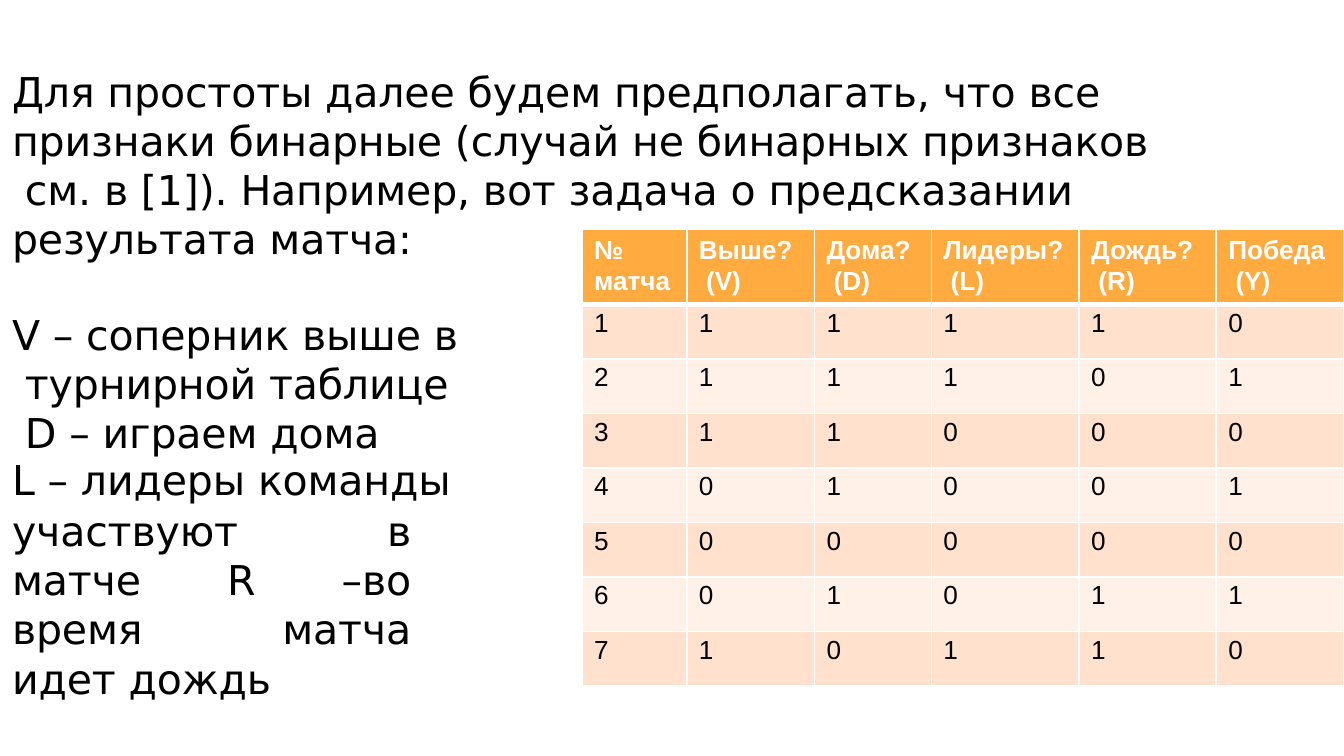
from dataclasses import dataclass

from lxml import etree
from pptx import Presentation
from pptx import util as u
from pptx.dml.color import RGBColor
from pptx.enum import text
from pptx.oxml.ns import qn


@dataclass(frozen=True)
class Theme:
    prose_font: str = "DejaVu Sans"
    table_font: str = "Arial"
    prose_size: float = 22
    table_size: float = 14
    tracking: int = -5  # hundredths of a point
    ink: str = "000000"
    white: str = "FFFFFF"
    header: str = "FFAB40"
    bands: tuple = ("FFE1CD", "FFF1E7")
    thin: float = 1
    thick: float = 3


THEME = Theme()
WIDTH = u.Inches(10)
HEIGHT = u.Emu(WIDTH * 9 // 16)

# Text, line spacing, space before, alignment, right indent in columns
PROSE = [
    ("Для простоты далее будем предполагать, что все\v"
     "признаки бинарные (случай не бинарных признаков\v"
     " см. в [1]). Например, вот задача о предсказании\v"
     "результата матча:", 26.3, 1.9, text.PP_ALIGN.LEFT, 0),
    ("V – соперник выше в\v турнирной таблице\v D – играем дома",
     26.3, 25, text.PP_ALIGN.LEFT, 0),
    ("L – лидеры команды", 25.2, 0, text.PP_ALIGN.LEFT, 0),
    ("участвуют в матче R –во\vвремя матча\vидет дождь",
     26.3, 0.9, text.PP_ALIGN.JUSTIFY, 55),
]

HEADINGS = ["№\vматча", "Выше?\v (V)", "Дома?\v (D)",
            "Лидеры?\v (L)", "Дождь?\v (R)", "Победа\v (Y)"]
# Match number, then one digit for each feature and for the outcome
MATCHES = ["111110", "211101", "311000", "401001", "500000", "601011", "710110"]
COLUMN_WIDTHS = [7.8, 9.5, 8.7, 11, 10.2, 9.5]
TABLE_ROWS, HEADER_ROWS = 60.5, 10


def columns(count):
    """Length of count columns, a hundred to the slide's width."""
    return u.Emu(round(WIDTH * count / 100))


def rows(count):
    """Length of count rows, a hundred to the slide's height."""
    return u.Emu(round(HEIGHT * count / 100))


def style_spans(para, font, size, color, bold=False):
    for span in para.runs:
        span.font.name = font
        span.font.size = u.Pt(size)
        span.font.bold = bold
        span.font.color.rgb = RGBColor.from_string(color)


def add_prose(page):
    box = page.shapes.add_textbox(columns(0.8), rows(8.3), columns(84.8), rows(78.3))
    frame = box.text_frame
    frame.word_wrap = True
    frame.auto_size = text.MSO_AUTO_SIZE.SHAPE_TO_FIT_TEXT
    frame.margin_left = columns(0.1)
    frame.margin_right = frame.margin_bottom = 0
    frame.margin_top = u.Inches(0.03)
    for index, (words, spacing, before, alignment, indent) in enumerate(PROSE):
        para = frame.add_paragraph() if index else frame.paragraphs[0]
        para.text = words
        para.line_spacing = u.Pt(spacing)
        para.space_before = u.Pt(before)
        para.alignment = alignment
        para._p.get_or_add_pPr().set("marR", str(columns(indent)))
        style_spans(para, THEME.prose_font, THEME.prose_size, THEME.ink)
        for span in para.runs:
            span._r.get_or_add_rPr().set("spc", str(THEME.tracking))


def draw_borders(cell, top, bottom):
    """Line all four sides; the lines precede the fill in the cell's XML."""
    properties = cell._tc.get_or_add_tcPr()
    sides = [("L", THEME.thin), ("R", THEME.thin), ("T", top), ("B", bottom)]
    for place, (side, weight) in enumerate(sides):
        line = etree.Element(qn(f"a:ln{side}"), w=str(u.Pt(weight)))
        fill = etree.SubElement(line, qn("a:solidFill"))
        etree.SubElement(fill, qn("a:srgbClr"), val=THEME.white)
        properties.insert(place, line)


def fill_cell(cell, words, row):
    is_header = row == 0
    cell.fill.solid()
    color = THEME.header if is_header else THEME.bands[(row - 1) % 2]
    cell.fill.fore_color.rgb = RGBColor.from_string(color)
    cell.margin_left = u.Inches(0.09)
    cell.margin_right = cell.margin_bottom = 0
    cell.margin_top = u.Inches(0.04 if is_header else 0.03)
    cell.text_frame.text = words
    para = cell.text_frame.paragraphs[0]
    para.space_before = u.Pt(3.2 if is_header else 2.4)
    if is_header:
        para.line_spacing = u.Pt(16.5)
    style_spans(para, THEME.table_font, THEME.table_size,
                THEME.white if is_header else THEME.ink, is_header)
    draw_borders(cell, THEME.thick if row == 1 else THEME.thin,
                 THEME.thick if is_header else THEME.thin)


def add_match_table(page):
    records = [HEADINGS, *MATCHES]
    table = page.shapes.add_table(
        len(records), len(HEADINGS), columns(43.3), rows(30.3),
        columns(sum(COLUMN_WIDTHS)), rows(TABLE_ROWS)).table
    for column, width in zip(table.columns, COLUMN_WIDTHS):
        column.width = columns(width)
    match_height = rows((TABLE_ROWS - HEADER_ROWS) / len(MATCHES))
    for row, record in enumerate(records):
        table.rows[row].height = match_height if row else rows(HEADER_ROWS)
        for column, words in enumerate(record):
            fill_cell(table.cell(row, column), words, row)


def main():
    deck = Presentation()
    deck.slide_width, deck.slide_height = WIDTH, HEIGHT
    page = deck.slides.add_slide(deck.slide_layouts[6])
    add_prose(page)
    add_match_table(page)
    deck.save("out.pptx")


if __name__ == "__main__":
    main()
